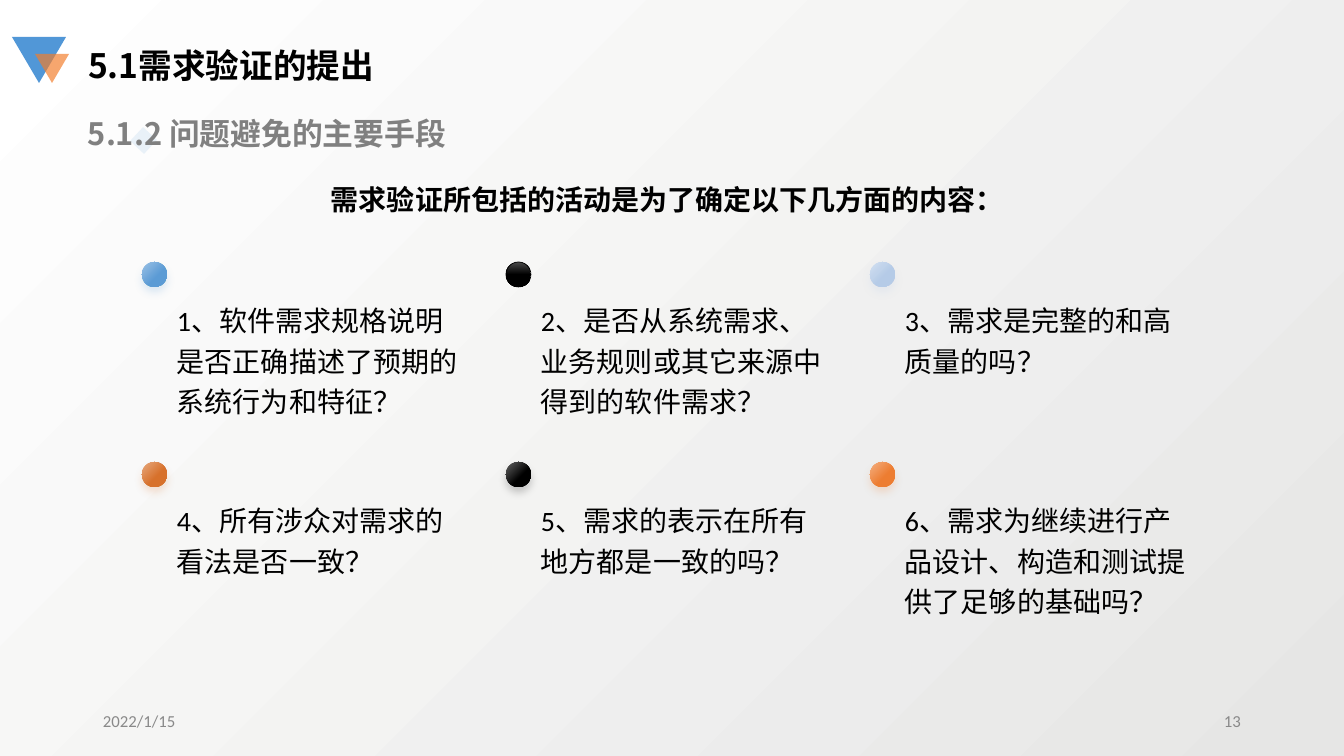
from lxml.etree import SubElement
from pptx import Presentation
from pptx.dml.color import RGBColor
from pptx.enum.shapes import MSO_SHAPE as SHAPE
from pptx.enum.text import MSO_ANCHOR as ANCHOR, MSO_AUTO_SIZE as AUTO_SIZE, PP_ALIGN as ALIGN
from pptx.oxml.ns import qn
from pptx.util import Emu, Pt

COLORS = {
    "page_dark": "E6E6E5", "page_light": "FFFFFF",
    "diamond": "BBD6EE", "blue": "5197D7", "orange": "F37D2A",
    "text": "000000", "subheading": "808080", "footer": "898989",
}
HEADING_FONT = "Noto Sans CJK SC"
BODY_FONT = "Calibri"

HEADING = "5.1需求验证的提出"
SUBHEADING = "5.1.2 问题避免的主要手段"
INTRO = "需求验证所包括的活动是为了确定以下几方面的内容："
DATE, PAGE = "2022/1/15", "13"
QUESTIONS = [
    ("1、软件需求规格说明是否正确描述了预期的系统行为和特征？", "9DC3E6", "5B9BD5"),
    ("2、是否从系统需求、业务规则或其它来源中得到的软件需求？", "4B4B4B", "000000"),
    ("3、需求是完整的和高质量的吗？", "D3E0F1", "B5CBE7"),
    ("4、所有涉众对需求的看法是否一致？", "E7AA80", "D7712B"),
    ("5、需求的表示在所有地方都是一致的吗？", "666666", "000000"),
    ("6、需求为继续进行产品设计、构造和测试提供了足够的基础吗？", "F4B183", "ED7D31"),
]
OUTLINED = 1
ORNAMENTS = [
    (SHAPE.RECTANGLE, (134, 131, 19, 19), 42.9, "diamond", 30),
    (SHAPE.ISOSCELES_TRIANGLE, (12, 37, 54, 46), 180, "blue", 100),
    (SHAPE.ISOSCELES_TRIANGLE, (35, 54, 34, 29), 180, "orange", 68),
]
COLUMNS = 3
GRID_LEFT, GRID_TOP = 142, 262
COLUMN_STEP, ROW_STEP = 364, 200
DOT = 25
QUESTION_DROP, QUESTION_WIDTH, QUESTION_HEIGHT = 30, 307, 129
EMU_PER_PX = 914400 / 100.8


def px(*lengths):
    return [Emu(round(length * EMU_PER_PX)) for length in lengths]


def rgb(value):
    return RGBColor.from_string(value)


def set_gradient(fill, start, end, angle, end_position=1):
    fill.gradient()
    fill.gradient_angle = angle
    for stop, color, position in zip(fill.gradient_stops, (start, end), (0, end_position)):
        stop.color.rgb = rgb(color)
        stop.position = position


def set_alpha(color_element, percent):
    SubElement(color_element, qn("a:alpha"), val=str(percent * 1000))


def write(holder, text, size, color="text", font=BODY_FONT, bold=False,
          align=ALIGN.LEFT, anchor=ANCHOR.TOP, spacing=1):
    frame = holder.text_frame
    frame.text = text
    for name, value in {"word_wrap": True, "auto_size": AUTO_SIZE.NONE,
                        "vertical_anchor": anchor}.items():
        setattr(frame, name, value)
    paragraph = frame.paragraphs[0]
    paragraph.alignment = align
    paragraph.line_spacing = spacing
    run = paragraph.runs[0]
    for name, value in {"size": Pt(size), "name": font, "bold": bold}.items():
        setattr(run.font, name, value)
    run.font.color.rgb = rgb(COLORS[color])
    latin = run.font._element.find(qn("a:latin"))
    latin.addnext(latin.makeelement(qn("a:ea"), {"typeface": HEADING_FONT}))


def add_text(slide, box, text, size, **style):
    write(slide.shapes.add_textbox(*px(*box)), text, size, **style)


def add_plain(slide, kind, box):
    shape = slide.shapes.add_shape(kind, *px(*box))
    shape.line.fill.background()
    shape.shadow.inherit = False
    return shape


def add_glow(shape, color):
    effects = shape._element.spPr.find(qn("a:effectLst"))
    shadow = SubElement(effects, qn("a:outerShdw"), blurRad=str(Pt(6)), dist=str(Pt(4)),
                        dir="5400000", algn="t", rotWithShape="0")
    set_alpha(SubElement(shadow, qn("a:srgbClr"), val=color), 20)


def add_question(slide, index, text, light, dark):
    row, column = divmod(index, COLUMNS)
    left, top = GRID_LEFT + column * COLUMN_STEP, GRID_TOP + row * ROW_STEP
    dot = add_plain(slide, SHAPE.OVAL, (left, top, DOT, DOT))
    if index == OUTLINED:
        set_gradient(dot.fill, light, dark, 270, 0.5)
        dot.line.color.rgb = rgb(dark)
        dot.line.width = Pt(0.5)
    else:
        set_gradient(dot.fill, light, dark, 315, 0.6)
        add_glow(dot, dark)
    add_text(slide, (left + DOT, top + QUESTION_DROP, QUESTION_WIDTH, QUESTION_HEIGHT),
             text, 20, spacing=1.2)


def main():
    deck = Presentation()
    deck.slide_width, deck.slide_height = px(1344, 756)
    slide = deck.slides.add_slide(deck.slide_layouts[5])
    set_gradient(slide.background.fill, COLORS["page_dark"], COLORS["page_light"], 135)

    for kind, box, rotation, color, opacity in ORNAMENTS:
        ornament = add_plain(slide, kind, box)
        ornament.rotation = rotation
        ornament.fill.solid()
        ornament.fill.fore_color.rgb = rgb(COLORS[color])
        if opacity < 100:
            set_alpha(ornament._element.spPr.find(".//" + qn("a:srgbClr")), opacity)

    heading = slide.shapes.title
    heading.left, heading.top, heading.width, heading.height = px(78, 40, 338, 50)
    heading_style = {"font": HEADING_FONT, "bold": True}
    write(heading, HEADING, 24, **heading_style)
    add_text(slide, (78, 110, 462, 47), SUBHEADING, 22, color="subheading", **heading_style)
    add_text(slide, (321, 161, 702, 53), INTRO, 20, spacing=1.5, **heading_style)

    for index, question in enumerate(QUESTIONS):
        add_question(slide, index, *question)

    for left, text, align in ((93, DATE, ALIGN.LEFT), (949, PAGE, ALIGN.RIGHT)):
        add_text(slide, (left, 701, 302, 40), text, 12, color="footer",
                 align=align, anchor=ANCHOR.MIDDLE)
    deck.save("out.pptx")


if __name__ == "__main__":
    main()
